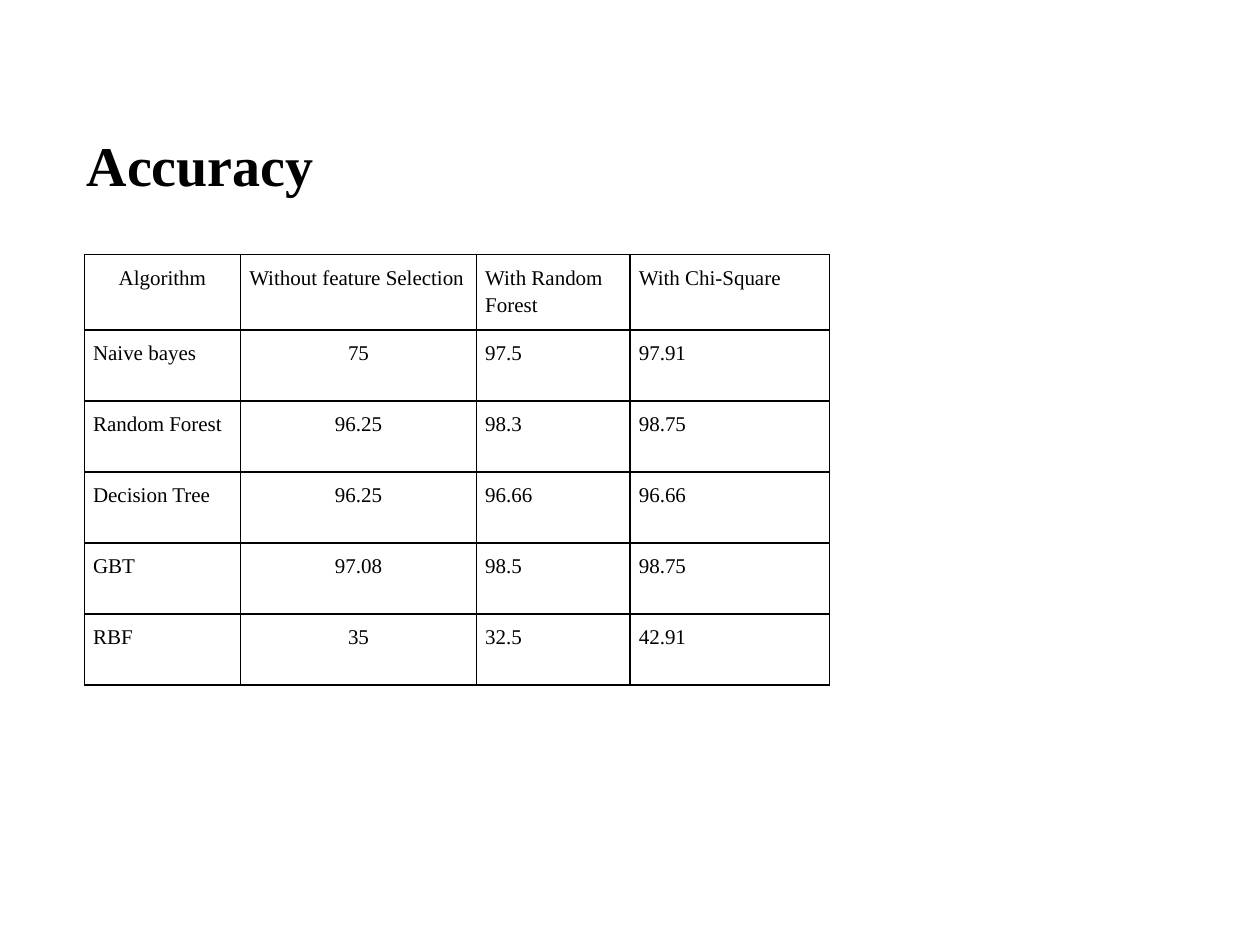
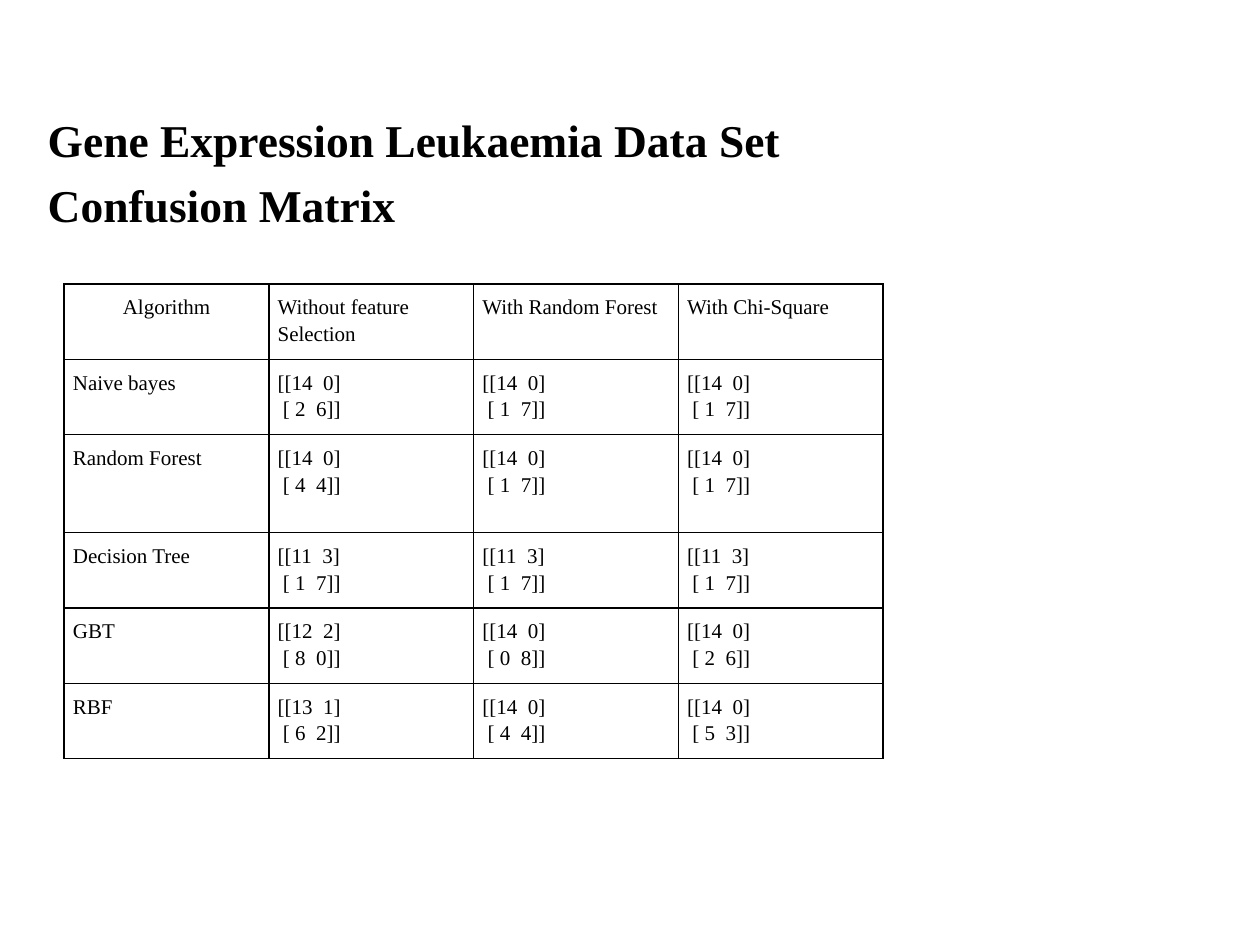
from lxml.etree import SubElement
from pptx import Presentation
from pptx.dml.color import RGBColor
from pptx.enum.text import PP_ALIGN
from pptx.oxml.ns import qn
from pptx.util import Pt

INK = RGBColor(0, 0, 0)
FONT = {"name": "Times New Roman"}
HEAD = {**FONT, "bold": True}
CELL = {**FONT, "size": Pt(12)}
INSET = {f"margin_{side}": Pt(5) for side in ("left", "top", "right", "bottom")}
PLAIN = {"first_row": False, "horz_banding": False}
TOP = ["Algorithm", "Without feature Selection", "With Random Forest", "With Chi-Square"]
NAMES = ["Naive bayes", "Random Forest", "Decision Tree", "GBT", "RBF"]
SCORES = [
    ["75", "97.5", "97.91"],
    ["96.25", "98.3", "98.75"],
    ["96.25", "96.66", "96.66"],
    ["97.08", "98.5", "98.75"],
    ["35", "32.5", "42.91"],
]
COUNTS = [
    [(14, 0, 2, 6), (14, 0, 1, 7), (14, 0, 1, 7)],
    [(14, 0, 4, 4), (14, 0, 1, 7), (14, 0, 1, 7)],
    [(11, 3, 1, 7), (11, 3, 1, 7), (11, 3, 1, 7)],
    [(12, 2, 8, 0), (14, 0, 0, 8), (14, 0, 2, 6)],
    [(13, 1, 6, 2), (14, 0, 4, 4), (14, 0, 5, 3)],
]
ROW = 40.6


def apply(target, values):
    for key, value in values.items():
        setattr(target, key, value)


def write(frame, text, font, para):
    for i, line in enumerate(text.split("\n")):
        part = frame.add_paragraph() if i else frame.paragraphs[0]
        apply(part, para)
        run = part.add_run()
        run.text = line
        apply(run.font, font)
        run.font.color.rgb = INK


def add_title(slide, box, text, size):
    frame = slide.shapes.add_textbox(*map(Pt, box)).text_frame
    frame.word_wrap = True
    write(frame, text, {**HEAD, "size": Pt(size)}, {"space_before": Pt(size * 0.23)})


def add_edges(cell):
    props = cell._tc.get_or_add_tcPr()
    for side in "LRTB":
        line = SubElement(props, qn(f"a:ln{side}"), w=str(Pt(1)))
        fill = SubElement(line, qn("a:solidFill"))
        SubElement(fill, qn("a:srgbClr"), val=str(INK))


def add_grid(slide, left, top, widths, heights, body, centred):
    rows = [TOP] + [[name, *cells] for name, cells in zip(NAMES, body)]
    box = left, top, sum(widths), sum(heights)
    table = slide.shapes.add_table(len(rows), len(TOP), *map(Pt, box)).table
    apply(table, PLAIN)
    for col, width in zip(table.columns, widths):
        col.width = Pt(width)
    for row, height in zip(table.rows, heights):
        row.height = Pt(height)
    for r, texts in enumerate(rows):
        for c, text in enumerate(texts):
            cell = table.cell(r, c)
            apply(cell, INSET)
            middle = (r == 0 and c == 0) or (r > 0 and c in centred)
            align = PP_ALIGN.CENTER if middle else PP_ALIGN.LEFT
            write(cell.text_frame, text, CELL, {"alignment": align, "line_spacing": 1.15})
            add_edges(cell)
            cell.fill.background()


def accuracy(slide):
    add_title(slide, (42.5, 71.3, 648, 399.6), "Accuracy", 32)
    add_grid(slide, 48.2, 145.4, [89.3, 134.8, 87.8, 114], [ROW] * 6, SCORES, {1})


def confusion(slide):
    add_title(slide, (20.2, 60.5, 648, 416.2),
              "Gene Expression Leukaemia Data Set\nConfusion Matrix", 26)
    body = [["[[{}  {}]\n [ {}  {}]]".format(*cell) for cell in row] for row in COUNTS]
    heights = [55.8 if i == 2 else ROW for i in range(6)]
    add_grid(slide, 36.7, 162.2, [117] * 4, heights, body, set())


def main():
    deck = Presentation()
    apply(deck, {"slide_width": Pt(720), "slide_height": Pt(540)})
    for build in (accuracy, confusion):
        build(deck.slides.add_slide(deck.slide_layouts[6]))
    deck.save("out.pptx")


if __name__ == "__main__":
    main()
